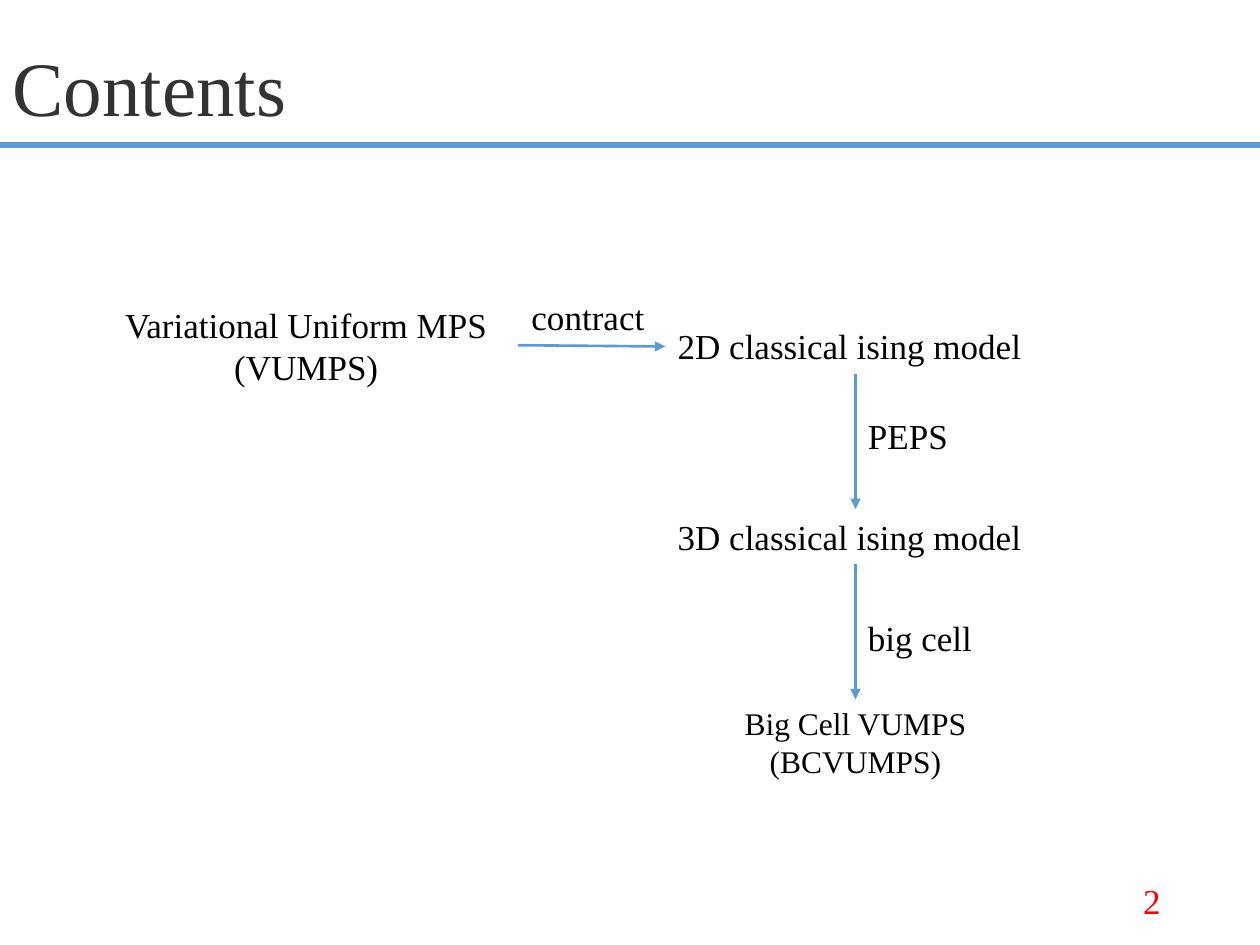
from dataclasses import dataclass

from pptx import Presentation
from pptx.dml.color import RGBColor
from pptx.enum.shapes import MSO_CONNECTOR as Connector
from pptx.enum.text import MSO_ANCHOR as Anchor, PP_ALIGN as Align
from pptx.oxml.ns import qn
from pptx.util import Inches, Pt
from lxml.etree import SubElement


@dataclass(frozen=True)
class Theme:
    font: str = "Times New Roman"
    title_color: RGBColor = RGBColor(0x33, 0x33, 0x33)
    text_color: RGBColor = RGBColor(0, 0, 0)
    number_color: RGBColor = RGBColor(0xFF, 0, 0)
    accent: RGBColor = RGBColor(0x5B, 0x9B, 0xD5)
    title_size: int = 44
    body_size: int = 20
    small_size: int = 18
    rule_width: float = 3
    arrow_width: float = 1.5


THEME = Theme()


def place(shape, box):
    shape.left, shape.top, shape.width, shape.height = map(Inches, box)


def write(shape, text, size, color, align=Align.LEFT, anchor=Anchor.TOP):
    frame = shape.text_frame
    frame.text = text
    frame.vertical_anchor = anchor
    for para in frame.paragraphs:
        para.alignment = align
        for span in para.runs:
            span.font.name = THEME.font
            span.font.size = Pt(size)
            span.font.color.rgb = color


def add_label(page, box, text, size=THEME.body_size, color=THEME.text_color,
              align=Align.LEFT, anchor=Anchor.TOP, wrap=False):
    label = page.shapes.add_textbox(*map(Inches, box))
    write(label, text, size, color, align, anchor)
    label.text_frame.word_wrap = wrap


def add_line(page, start, end, width, arrow=False):
    line = page.shapes.add_connector(Connector.STRAIGHT, *map(Inches, start + end))
    line.line.color.rgb = THEME.accent
    line.line.width = Pt(width)
    properties = line._element.spPr
    if arrow:
        SubElement(properties.find(qn("a:ln")), qn("a:tailEnd"), type="triangle")
    SubElement(properties, qn("a:effectLst"))


def add_header(page, box):
    left, top, width, height = box
    rule_top = top + 1.15
    add_line(page, (left, rule_top), (left + width, rule_top), THEME.rule_width)
    title = page.shapes.title
    place(title, box)
    write(title, "Contents", THEME.title_size, THEME.title_color, anchor=Anchor.MIDDLE)
    title.text_frame.paragraphs[0].line_spacing = 0.9


def add_flow(page, box):
    left, top, width, height = box
    model_left = left + 4.54
    model_width, label_height = 3.02, 0.44
    axis = model_left + model_width / 2
    first_model, step = top + 0.23, 1.51

    # Starting method and the arrow to the first model
    add_label(page, (left, top + 0.06, 3.38, 0.77),
              "Variational Uniform MPS\n(VUMPS)", align=Align.CENTER, wrap=True)
    add_label(page, (left + 3.38, top, 1.1, label_height), "contract")
    add_line(page, (left + 3.37, top + 0.44), (model_left, top + 0.45),
             THEME.arrow_width, arrow=True)

    # Models, each with the arrow and label of the step that follows
    steps = [("2D classical ising model", "PEPS", 0.84, 0.71),
             ("3D classical ising model", "big cell", 1.03, 0.8)]
    for index, (model, action, action_width, action_drop) in enumerate(steps):
        model_top = first_model + index * step
        arrow_top = model_top + label_height
        add_label(page, (model_left, model_top, model_width, label_height), model)
        add_line(page, (axis, arrow_top), (axis, model_top + step),
                 THEME.arrow_width, arrow=True)
        add_label(page, (axis, model_top + action_drop, action_width, label_height), action)

    # Final method
    result_width = 2.03
    add_label(page, (axis - result_width / 2, top + height - 0.71, result_width, 0.71),
              "Big Cell VUMPS\n(BCVUMPS)", size=THEME.small_size,
              align=Align.CENTER, wrap=True)


def add_page_number(page, box):
    add_label(page, box, "2", color=THEME.number_color, align=Align.RIGHT,
              anchor=Anchor.MIDDLE, wrap=True)


def main():
    deck = Presentation()
    deck.slide_width, deck.slide_height = Inches(10), Inches(7.5)
    page = deck.slides.add_slide(deck.slide_layouts.get_by_name("Title Only"))
    add_header(page, (0, 0, 10, 1.46))
    add_flow(page, (0.74, 2.3, 7.56, 3.95))
    add_page_number(page, (7.06, 6.95, 2.25, 0.4))
    deck.save("out.pptx")


if __name__ == "__main__":
    main()
